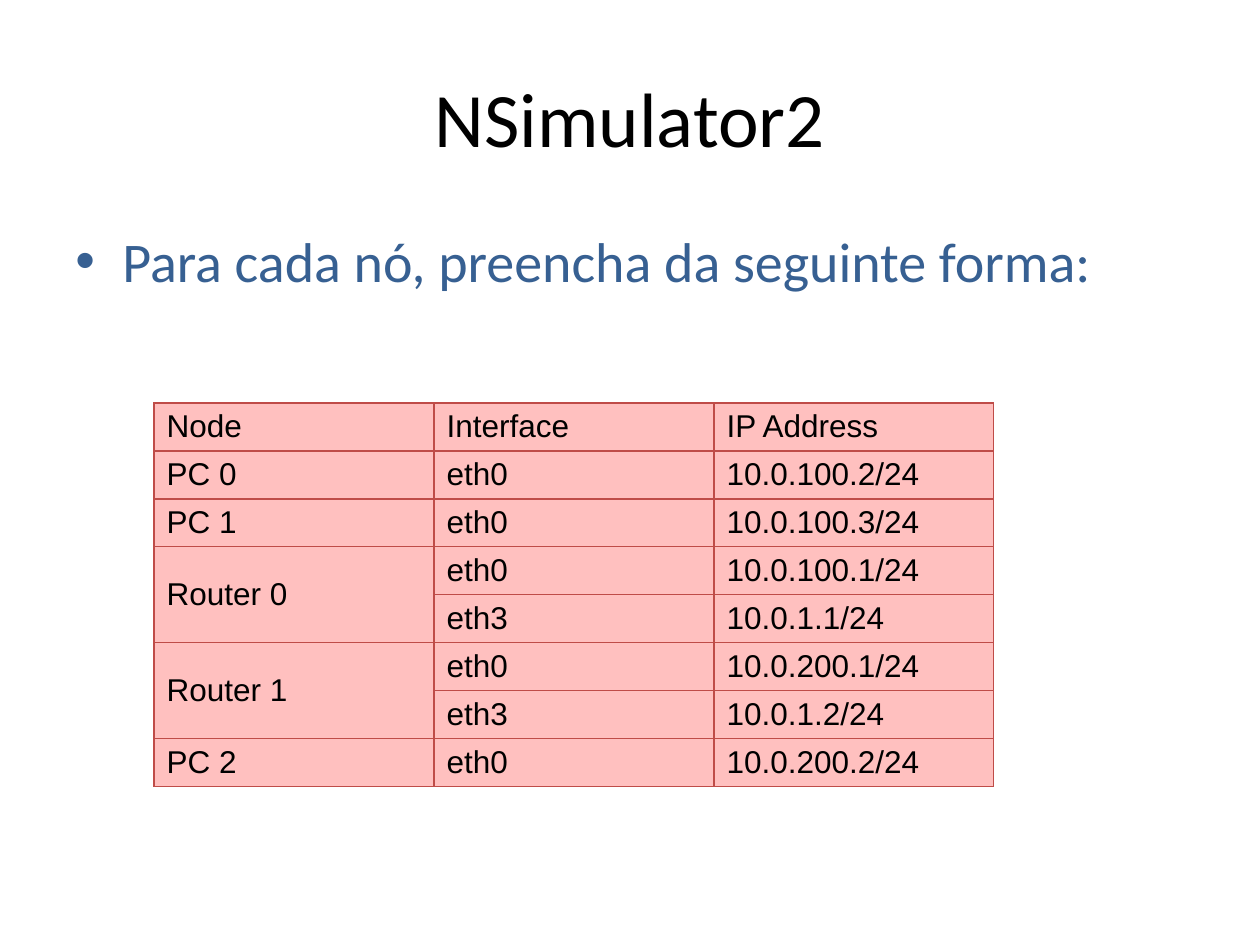
from lxml.etree import SubElement
from pptx import Presentation
from pptx.dml.color import RGBColor
from pptx.enum.text import MSO_ANCHOR, PP_ALIGN
from pptx.oxml.ns import qn
from pptx.util import Pt

EMU_PER_PX = 914400 // 126
COLORS = {"title": "000000", "body": "376092", "cell_text": "000000",
          "cell_fill": "FFC0BF", "border": "BF4C48"}


def px(length):
    return length * EMU_PER_PX


def color(name):
    return RGBColor.from_string(COLORS[name])


class SlideBuilder:
    heading_font = "Calibri"
    table_font = "Arial"
    border_width = Pt(0.75)

    def __init__(self, slide):
        self.slide = slide

    def add_run(self, paragraph, text, font_name, size, color_name):
        run = paragraph.add_run()
        run.text = text
        run.font.name = font_name
        run.font.size = Pt(size)
        run.font.color.rgb = color(color_name)

    def text_box(self, text, left, top, width, height, size, color_name,
                 anchor=MSO_ANCHOR.TOP, align=PP_ALIGN.LEFT):
        shape = self.slide.shapes.add_textbox(px(left), px(top), px(width), px(height))
        frame = shape.text_frame
        frame.word_wrap = True
        frame.vertical_anchor = anchor
        paragraph = frame.paragraphs[0]
        paragraph.alignment = align
        self.add_run(paragraph, text, self.heading_font, size, color_name)
        return paragraph

    def bullet(self, paragraph, indent, space_percent):
        properties = paragraph._p.get_or_add_pPr()
        properties.set("marL", str(px(indent)))
        properties.set("indent", str(-px(indent)))
        spacing = SubElement(properties, qn("a:spcBef"))
        SubElement(spacing, qn("a:spcPct"), val=str(space_percent * 1000))
        SubElement(properties, qn("a:buFont"), typeface="Arial")
        SubElement(properties, qn("a:buChar"), char="•")

    def style_cell(self, cell):
        cell.vertical_anchor = MSO_ANCHOR.MIDDLE
        cell.margin_top = cell.margin_bottom = px(5)
        properties = cell._tc.get_or_add_tcPr()
        for side in ("lnL", "lnR", "lnT", "lnB"):
            line = SubElement(properties, qn(f"a:{side}"), w=str(self.border_width))
            fill = SubElement(line, qn("a:solidFill"))
            SubElement(fill, qn("a:srgbClr"), val=COLORS["border"])
        cell.fill.solid()
        cell.fill.fore_color.rgb = color("cell_fill")

    def table(self, rows, left, top, column_width, row_height):
        """Add a table; None continues the cell above it."""
        column_count = len(rows[0])
        table = self.slide.shapes.add_table(
            len(rows), column_count, px(left), px(top),
            px(column_width * column_count), px(row_height * len(rows))).table
        for row_index, values in enumerate(rows):
            table.rows[row_index].height = px(row_height)
            for column_index, value in enumerate(values):
                cell = table.cell(row_index, column_index)
                self.style_cell(cell)
                if value is None:
                    table.cell(row_index - 1, column_index).merge(cell)
                else:
                    self.add_run(cell.text_frame.paragraphs[0], value,
                                 self.table_font, 18, "cell_text")


def main():
    presentation = Presentation()
    presentation.slide_width = px(1260)
    presentation.slide_height = px(945)
    builder = SlideBuilder(presentation.slides.add_slide(presentation.slide_layouts[6]))

    # Title
    builder.text_box("NSimulator2", 63, 38, 1134, 157, 44, "title",
                     MSO_ANCHOR.MIDDLE, PP_ALIGN.CENTER)

    # Instruction
    instruction = builder.text_box("Para cada nó, preencha da seguinte forma:",
                                   63, 220, 1134, 624, 32, "body")
    builder.bullet(instruction, indent=47, space_percent=20)

    # Address plan
    builder.table([
        ("Node", "Interface", "IP Address"),
        ("PC 0", "eth0", "10.0.100.2/24"),
        ("PC 1", "eth0", "10.0.100.3/24"),
        ("Router 0", "eth0", "10.0.100.1/24"),
        (None, "eth3", "10.0.1.1/24"),
        ("Router 1", "eth0", "10.0.200.1/24"),
        (None, "eth3", "10.0.1.2/24"),
        ("PC 2", "eth0", "10.0.200.2/24"),
    ], left=154, top=403, column_width=280, row_height=48)

    presentation.save("out.pptx")


if __name__ == "__main__":
    main()
